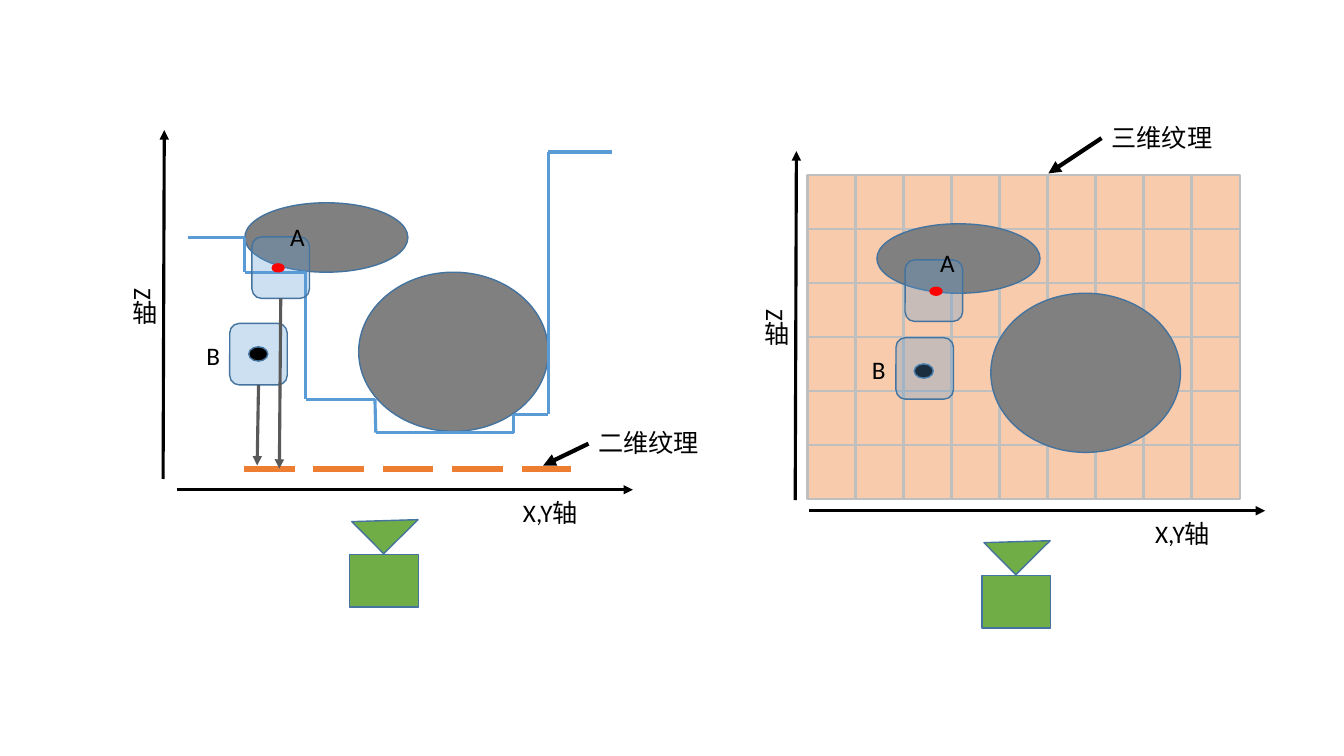
from dataclasses import dataclass
from itertools import pairwise, product
from typing import NamedTuple

from lxml import etree
from pptx import Presentation
from pptx.dml.color import RGBColor
from pptx.enum.dml import MSO_LINE
from pptx.enum.shapes import MSO_CONNECTOR, MSO_SHAPE
from pptx.enum.text import MSO_AUTO_SIZE
from pptx.oxml.ns import qn
from pptx.util import Cm, Pt

RECTANGLE = MSO_SHAPE.RECTANGLE
ROUNDED = MSO_SHAPE.ROUNDED_RECTANGLE
ELLIPSE = MSO_SHAPE.OVAL
RIGHT_TRIANGLE = MSO_SHAPE.RIGHT_TRIANGLE
STRAIGHT = MSO_CONNECTOR.STRAIGHT
LONG_DASH = MSO_LINE.LONG_DASH
FIT_SHAPE = MSO_AUTO_SIZE.SHAPE_TO_FIT_TEXT
BOTTOM_SIDE = 2


@dataclass(frozen=True)
class Theme:
    font: str = "Calibri"
    text_size: float = 18
    black: str = "000000"
    outline: str = "43739E"
    obstacle: str = "808080"
    camera: str = "70AD47"
    blue: str = "5B9BD5"
    orange: str = "ED7D31"
    grid_line: str = "BFBFBF"
    red: str = "FF0000"
    projection: str = "595959"


class Point(NamedTuple):
    x: float
    y: float


class Area(NamedTuple):
    left: float
    top: float
    width: float
    height: float


@dataclass(frozen=True)
class Figure:
    kind: int
    area: Area
    fill: str
    line: str
    line_width: float = 1
    opacity: int = 100
    rotation: float = 0


@dataclass(frozen=True)
class Line:
    start: Point
    end: Point
    color: str
    width: float = 2.25
    arrow: bool = False
    dash: int | None = None


@dataclass(frozen=True)
class Label:
    text: str
    area: Area
    wrap: bool = True
    vertical: bool = False


THEME = Theme()
RIGHT_SHIFT = Point(15.93, 0.53)

AXES = (
    Line(Point(4.11, 12.07), Point(4.14, 3.28), THEME.black, arrow=True),
    Line(Point(4.45, 12.34), Point(15.95, 12.34), THEME.black, arrow=True),
)
SCENE = (
    Figure(ELLIPSE, Area(6.17, 5.11, 4.11, 1.75), THEME.obstacle, THEME.outline),
    Figure(ELLIPSE, Area(9.04, 6.86, 4.78, 4.01), THEME.obstacle, THEME.outline),
    Figure(RECTANGLE, Area(9.02, 13.77, 1.32, 1.73), THEME.camera, THEME.outline,
           rotation=270),
    Figure(RIGHT_TRIANGLE, Area(9.09, 12.55, 1.22, 1.14), THEME.camera, THEME.outline,
           rotation=315.2),
)
AXIS_LABELS = (
    Label("Z轴", Area(2.29, 7.01, 1.85, 1.5), wrap=False, vertical=True),
    Label("X,Y轴", Area(12.93, 12.4, 2.74, 1.3), wrap=False),
)
DEPTH_PROFILE = (
    Point(4.75, 5.99), Point(6.17, 5.99), Point(6.17, 6.86), Point(7.7, 6.86),
    Point(7.7, 10.06), Point(9.45, 10.06), Point(9.47, 10.9), Point(11, 10.9),
    Point(12.95, 10.9), Point(12.95, 10.44), Point(13.82, 10.44),
    Point(13.82, 3.83), Point(15.42, 3.83),
)
GRID_ORIGIN, GRID_CELL = Point(20.35, 4.42), Point(1.21, 1.36)
GRID_ROWS, GRID_COLUMNS = 6, 9

LABELS = (
    Label("A", Area(7.06, 5.44, 0.89, 1.02)),
    Label("B", Area(4.95, 8.46, 0.86, 1.02)),
    Label("A", Area(23.44, 6.1, 0.89, 1.02)),
    Label("B", Area(21.72, 8.81, 0.86, 1.02)),
    Label("二维纹理", Area(14.83, 10.64, 3.07, 1.02)),
    Label("三维纹理", Area(27.76, 2.97, 3.07, 1.02)),
)
CALLOUTS = (
    Line(Point(14.83, 11.18), Point(13.69, 11.73), THEME.black, 3, arrow=True),
    Line(Point(27.76, 3.48), Point(26.42, 4.37), THEME.black, 3, arrow=True),
)


def moved(area: Area, shift: Point) -> Area:
    return area._replace(left=area.left + shift.x, top=area.top + shift.y)


def draw_figure(page, figure: Figure, shift: Point = Point(0, 0)):
    shape = page.shapes.add_shape(figure.kind, *map(Cm, moved(figure.area, shift)))
    shape.shadow.inherit = False
    shape.rotation = figure.rotation
    shape.fill.solid()
    shape.fill.fore_color.rgb = RGBColor.from_string(figure.fill)
    shape.line.color.rgb = RGBColor.from_string(figure.line)
    shape.line.width = Pt(figure.line_width)
    if figure.opacity < 100:
        color = shape._element.spPr.find(qn("a:solidFill"))[0]
        etree.SubElement(color, qn("a:alpha"), val=str(figure.opacity * 1000))
    return shape


def draw_line(page, line: Line, shift: Point = Point(0, 0)):
    ends = (line.start.x + shift.x, line.start.y + shift.y,
            line.end.x + shift.x, line.end.y + shift.y)
    connector = page.shapes.add_connector(STRAIGHT, *map(Cm, ends))
    connector.line.color.rgb = RGBColor.from_string(line.color)
    connector.line.width = Pt(line.width)
    if line.dash is not None:
        connector.line.dash_style = line.dash
    properties = connector._element.spPr
    if line.arrow:
        etree.SubElement(properties.find(qn("a:ln")), qn("a:tailEnd"), type="triangle")
    etree.SubElement(properties, qn("a:effectLst"))
    return connector


def draw_label(page, label: Label, shift: Point = Point(0, 0)) -> None:
    frame = page.shapes.add_textbox(*map(Cm, moved(label.area, shift))).text_frame
    frame.text = label.text
    frame.word_wrap = label.wrap
    frame.auto_size = FIT_SHAPE
    if label.vertical:
        frame._txBody.bodyPr.set("vert", "eaVert")
    font = frame.paragraphs[0].runs[0].font
    font.name = THEME.font
    font.size = Pt(THEME.text_size)
    font.color.rgb = RGBColor.from_string(THEME.black)


def draw_scene(page, shift: Point) -> None:
    """Draw what both views share: axes, obstacles, camera and axis names."""
    for axis in AXES:
        draw_line(page, axis, shift)
    for figure in SCENE:
        draw_figure(page, figure, shift)
    for label in AXIS_LABELS:
        draw_label(page, label, shift)


def draw_sample_box(page, left: float, top: float):
    return draw_figure(page, Figure(ROUNDED, Area(left, top, 1.45, 1.55), THEME.blue,
                                    THEME.outline, opacity=30))


def draw_hidden_point(page, left: float, top: float) -> None:
    draw_figure(page, Figure(ELLIPSE, Area(left, top, 0.3, 0.2), THEME.red, THEME.red))


def draw_free_point(page, left: float, top: float) -> None:
    draw_figure(page, Figure(ELLIPSE, Area(left, top, 0.48, 0.36), THEME.black,
                             THEME.outline))


def draw_flat_view(page) -> None:
    box_b = draw_sample_box(page, 5.79, 8.15)
    draw_scene(page, Point(0, 0))
    for start, end in pairwise(DEPTH_PROFILE):
        draw_line(page, Line(start, end, THEME.blue))
    draw_free_point(page, 6.27, 8.74)
    box_a = draw_sample_box(page, 6.35, 5.97)
    draw_hidden_point(page, 6.86, 6.65)
    draw_line(page, Line(Point(6.15, 11.81), Point(14.38, 11.81), THEME.orange, 4.5,
                         dash=LONG_DASH))
    for box, start, end in ((box_a, Point(7.08, 7.52), Point(7.04, 11.81)),
                            (box_b, Point(6.51, 9.7), Point(6.48, 11.73))):
        arrow = draw_line(page, Line(start, end, THEME.projection, arrow=True))
        arrow.begin_connect(box, BOTTOM_SIDE)


def draw_volume_view(page) -> None:
    for row, column in product(range(GRID_ROWS), range(GRID_COLUMNS)):
        cell = Area(GRID_ORIGIN.x + column * GRID_CELL.x,
                    GRID_ORIGIN.y + row * GRID_CELL.y, *GRID_CELL)
        draw_figure(page, Figure(RECTANGLE, cell, THEME.orange, THEME.grid_line, 1.5,
                                 opacity=40))
    draw_scene(page, RIGHT_SHIFT)
    draw_free_point(page, 23.04, 9.17)
    draw_sample_box(page, 22.81, 6.55)
    draw_hidden_point(page, 23.44, 7.24)
    draw_sample_box(page, 22.58, 8.51)


def main() -> None:
    deck = Presentation()
    deck.slide_width, deck.slide_height = Cm(33.87), Cm(19.05)
    page = deck.slides.add_slide(deck.slide_layouts[6])
    draw_flat_view(page)
    draw_volume_view(page)
    for label in LABELS:
        draw_label(page, label)
    for callout in CALLOUTS:
        draw_line(page, callout)
    deck.save("out.pptx")


if __name__ == "__main__":
    main()
